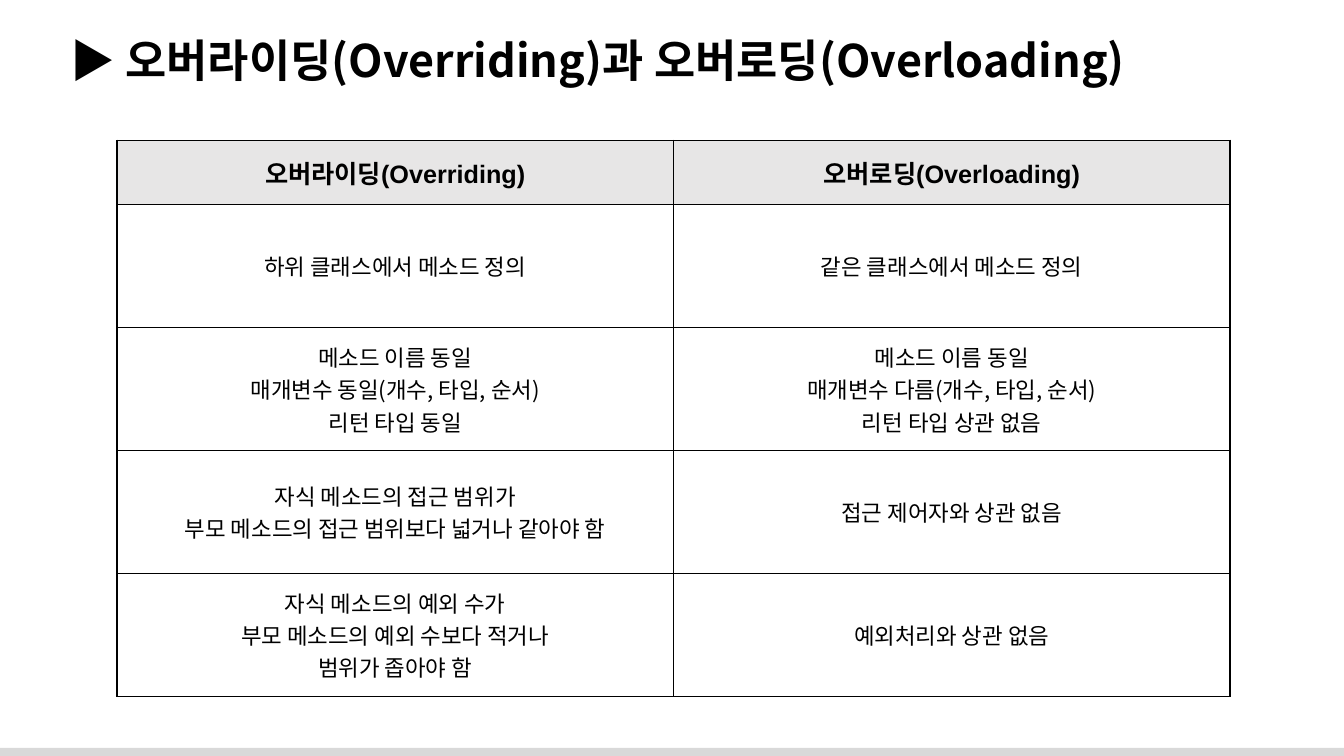
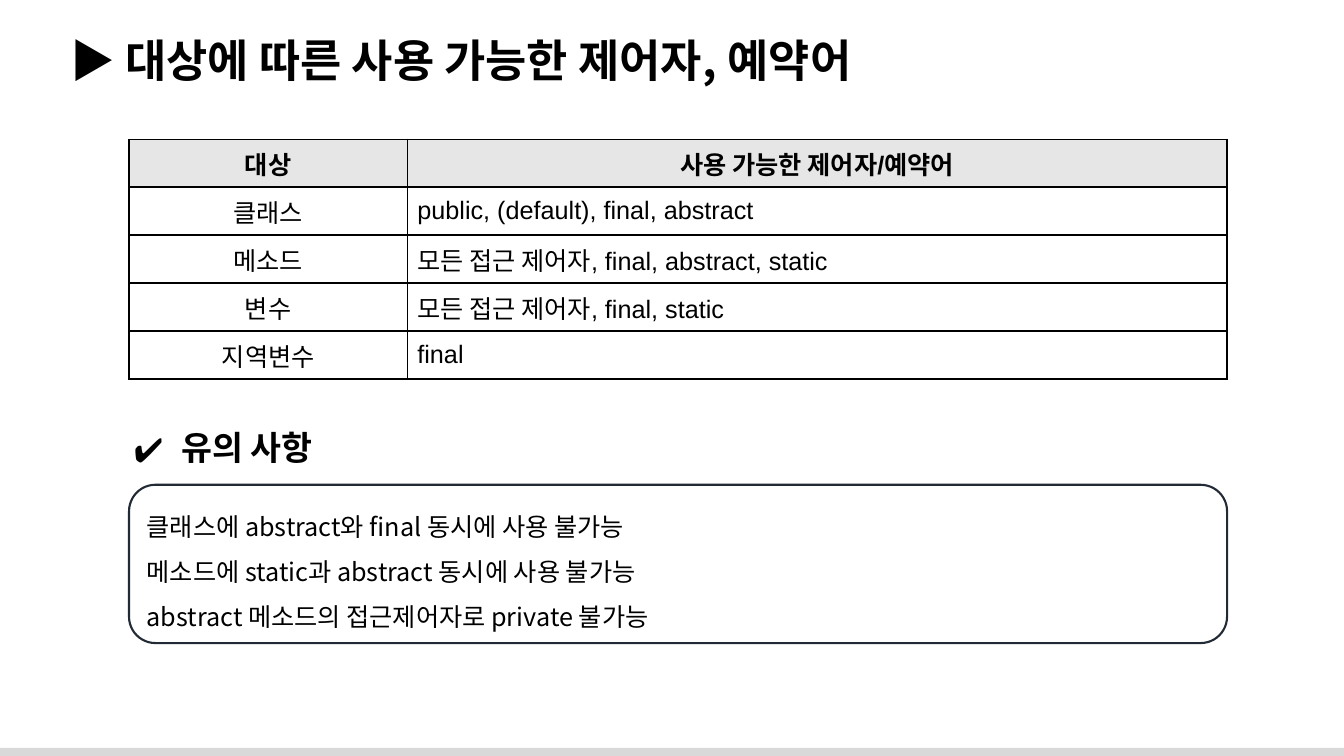
from lxml import etree
from pptx import Presentation
from pptx.dml.color import RGBColor
from pptx.enum.shapes import MSO_SHAPE
from pptx.enum.text import MSO_ANCHOR, PP_ALIGN
from pptx.oxml.ns import qn
from pptx.util import Inches, Pt

RECT, ROUND_RECT = MSO_SHAPE.RECTANGLE, MSO_SHAPE.ROUNDED_RECTANGLE
LEFT, CENTER = PP_ALIGN.LEFT, PP_ALIGN.CENTER
MIDDLE = MSO_ANCHOR.MIDDLE

COLORS = {"text": "000000", "band": "D9D9D9", "header": "E7E6E6", "outline": "222A35"}
SANS, KOREAN = "Arial", "Noto Sans CJK KR"


def write(tf, text, size=18, font=KOREAN, bold=False, align=LEFT, spacing=None):
    """Fill a text frame, one paragraph per line of text."""
    tf.word_wrap = True
    for i, line in enumerate(text.split("\n")):
        p = tf.paragraphs[0] if i == 0 else tf.add_paragraph()
        p.alignment = align
        p.line_spacing = spacing
        r = p.add_run()
        r.text = line
        r.font.size, r.font.name, r.font.bold = Pt(size), font, bold
        r.font.color.rgb = RGBColor.from_string(COLORS["text"])
        etree.SubElement(r.font._element, qn("a:ea"), typeface=KOREAN)


def add_grid(s, left, top, widths, heights, rows, aligns, size, font):
    """Add a bordered table with a grey header row."""
    table = s.shapes.add_table(len(rows), len(widths), Inches(left), Inches(top),
                               Inches(sum(widths)), Inches(sum(heights))).table
    table.horz_banding = False
    for column, width in zip(table.columns, widths):
        column.width = Inches(width)
    for i, (row, height) in enumerate(zip(rows, heights)):
        table.rows[i].height = Inches(height)
        for j, text in enumerate(row):
            cell = table.cell(i, j)
            cell.vertical_anchor = MIDDLE
            tcPr = cell._tc.get_or_add_tcPr()
            for side in ("a:lnL", "a:lnR", "a:lnT", "a:lnB"):
                ln = etree.SubElement(tcPr, qn(side), w=str(Pt(1)))
                fill = etree.SubElement(ln, qn("a:solidFill"))
                etree.SubElement(fill, qn("a:srgbClr"), val=COLORS["text"])
            if i == 0:
                cell.fill.solid()
                cell.fill.fore_color.rgb = RGBColor.from_string(COLORS["header"])
                write(cell.text_frame, text, font=SANS, bold=True, align=CENTER)
            else:
                cell.fill.background()
                write(cell.text_frame, text, size, font, align=aligns[j])


prs = Presentation()
prs.slide_width, prs.slide_height = Inches(13.33), Inches(7.5)
blank = prs.slide_layouts[6]

# Slides with their titles
titles = ["▶ 오버라이딩(Overriding)과 오버로딩(Overloading)",
          "▶ 대상에 따른 사용 가능한 제어자, 예약어"]
slides = []
for title in titles:
    s = prs.slides.add_slide(blank)
    sp = s.shapes.add_textbox(Inches(0.6), Inches(0.28), Inches(12.6), Inches(0.64))
    write(sp.text_frame, title, size=32, bold=True)
    slides.append(s)
compare, modifiers = slides

# Bottom band, moved to the layout that both slides share
band = compare.shapes.add_shape(RECT, Inches(-0.03), Inches(7.42), Inches(13.39), Inches(0.11))
band.shadow.inherit = False
band.fill.solid()
band.fill.fore_color.rgb = RGBColor.from_string(COLORS["band"])
band.line.fill.background()
blank.shapes.element.append(band.element)

# Slide 1: comparison table
add_grid(compare, 1.16, 1.39, [5.52] * 2, [0.64] + [1.22] * 4, [
    ("오버라이딩(Overriding)", "오버로딩(Overloading)"),
    ("하위 클래스에서 메소드 정의", "같은 클래스에서 메소드 정의"),
    ("메소드 이름 동일\n매개변수 동일(개수, 타입, 순서)\n리턴 타입 동일",
     "메소드 이름 동일\n매개변수 다름(개수, 타입, 순서)\n리턴 타입 상관 없음"),
    ("자식 메소드의 접근 범위가\n부모 메소드의 접근 범위보다 넓거나 같아야 함",
     "접근 제어자와 상관 없음"),
    ("자식 메소드의 예외 수가\n부모 메소드의 예외 수보다 적거나\n범위가 좁아야 함",
     "예외처리와 상관 없음"),
], aligns=(CENTER, CENTER), size=16, font=KOREAN)

# Slide 2: modifiers table
add_grid(modifiers, 1.28, 1.38, [2.76, 8.13], [0.476] * 5, [
    ("대상", "사용 가능한 제어자/예약어"),
    ("클래스", "public, (default), final, abstract"),
    ("메소드", "모든 접근 제어자, final, abstract, static"),
    ("변수", "모든 접근 제어자, final, static"),
    ("지역변수", "final"),
], aligns=(CENTER, LEFT), size=18, font=SANS)

# Slide 2: rules box
box = modifiers.shapes.add_shape(ROUND_RECT, Inches(1.28), Inches(4.81), Inches(10.89), Inches(1.57))
box.shadow.inherit = False
box.fill.background()
box.line.color.rgb = RGBColor.from_string(COLORS["outline"])
box.line.width = Pt(1.5)
box.text_frame.vertical_anchor = MIDDLE
write(box.text_frame, "클래스에 abstract와 final 동시에 사용 불가능\n"
      "메소드에 static과 abstract 동시에 사용 불가능\n"
      "abstract 메소드의 접근제어자로 private 불가능", spacing=1.5)

# Slide 2: check-marked heading
heading = modifiers.shapes.add_textbox(Inches(1.23), Inches(4.19), Inches(2.17), Inches(0.5))
write(heading.text_frame, "유의 사항", size=24, bold=True)
pPr = heading.text_frame.paragraphs[0]._p.get_or_add_pPr()
pPr.set("marL", str(Inches(0.47)))
pPr.set("indent", str(-Inches(0.47)))
etree.SubElement(pPr, qn("a:buFont"), typeface=KOREAN)
etree.SubElement(pPr, qn("a:buChar"), char="✔")

prs.save("out.pptx")
